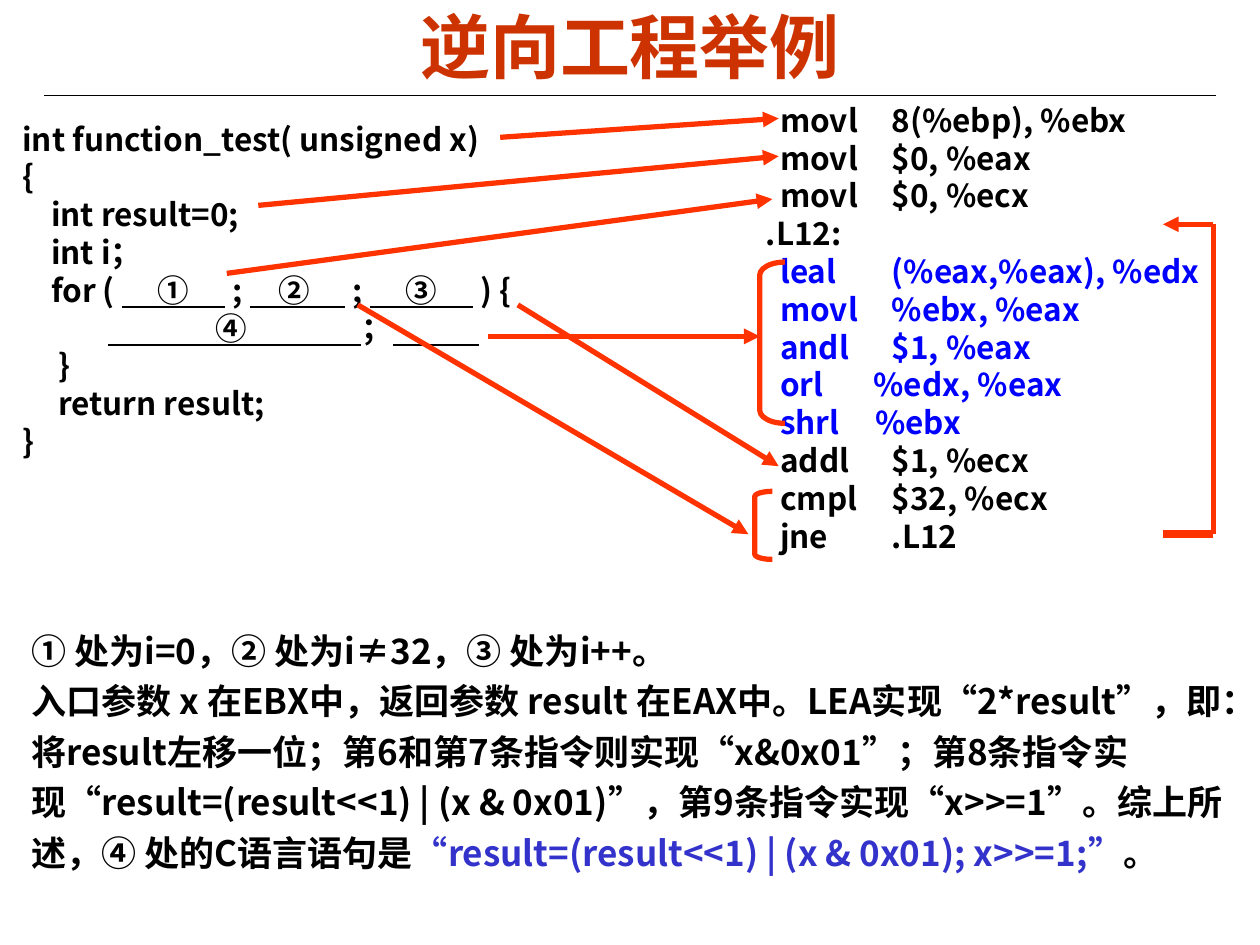
from dataclasses import dataclass

from lxml import etree
from pptx import Presentation
from pptx.dml.color import RGBColor
from pptx.enum.shapes import MSO_CONNECTOR, MSO_SHAPE
from pptx.enum.text import MSO_ANCHOR, PP_ALIGN
from pptx.oxml.ns import qn
from pptx.util import Emu, Inches, Pt

STRAIGHT = MSO_CONNECTOR.STRAIGHT
BRACKET = MSO_SHAPE.LEFT_BRACKET
TOP, MIDDLE = MSO_ANCHOR.TOP, MSO_ANCHOR.MIDDLE
LEFT, CENTER = PP_ALIGN.LEFT, PP_ALIGN.CENTER
CELL = Inches(0.1)  # the slide is a grid of 100 columns by 75 rows
FONT = "Noto Sans CJK SC"
BLACK, BLUE, INDIGO = "000000", "0000FF", "3333CC"
RUST, RED = "CC3300", "FF3300"


@dataclass
class Span:
    text: str
    color: str = ""
    under: bool = False


@dataclass
class Block:
    box: tuple[float, float, float, float]
    lines: list[list[Span]]
    size: int
    color: str = BLACK
    font: str = FONT
    anchor: MSO_ANCHOR = MIDDLE
    align: PP_ALIGN = LEFT
    space: float = 1.0
    tab: float = 0


@dataclass
class Line:
    start: tuple[float, float]
    end: tuple[float, float]
    arrow: bool = True
    width: float = 3
    color: str = RED


@dataclass
class Brace:
    box: tuple[float, float, float, float]
    curve: float


def cells(*counts: float) -> list[Emu]:
    return [Emu(round(n * CELL)) for n in counts]


def rgb(code: str) -> RGBColor:
    return RGBColor.from_string(code)


def add_tab(para, column: float) -> None:
    stops = etree.SubElement(para._p.get_or_add_pPr(), qn("a:tabLst"))
    etree.SubElement(stops, qn("a:tab"), pos=str(cells(column)[0]), algn="l")


def set_font(para, block: Block) -> None:
    font = para.font
    font.size, font.bold, font.name = Pt(block.size), True, block.font
    font.color.rgb = rgb(block.color)
    etree.SubElement(font._rPr, qn("a:ea"), typeface=FONT)


def draw_text(shapes, block: Block) -> None:
    frame = shapes.add_textbox(*cells(*block.box)).text_frame
    frame.word_wrap = True
    frame.vertical_anchor = block.anchor
    for i, line in enumerate(block.lines):
        para = frame.add_paragraph() if i else frame.paragraphs[0]
        para.alignment, para.line_spacing = block.align, block.space
        if block.tab:
            add_tab(para, block.tab)
        set_font(para, block)
        for span in line:
            run = para.add_run()
            run.text = span.text
            if span.color:
                run.font.color.rgb = rgb(span.color)
            if span.under:
                run.font.underline = True


def draw_line(shapes, item: Line) -> None:
    line = shapes.add_connector(STRAIGHT, *cells(*item.start, *item.end))
    line.line.color.rgb = rgb(item.color)
    line.line.width = Pt(item.width)
    if item.arrow:
        etree.SubElement(line.line._get_or_add_ln(), qn("a:tailEnd"), type="triangle")
    etree.SubElement(line._element.spPr, qn("a:effectLst"))


def draw_brace(shapes, item: Brace) -> None:
    brace = shapes.add_shape(BRACKET, *cells(*item.box))
    brace.adjustments[0] = item.curve
    brace.shadow.inherit = False
    brace.fill.background()
    brace.line.color.rgb = rgb(RED)
    brace.line.width = Pt(3)


def plain(*texts: str, color: str = "") -> list[list[Span]]:
    return [[Span(text, color)] for text in texts]


def blank(text: str) -> Span:
    return Span(text, under=True)


TITLE = Block((5, 0.6, 90, 6.1), plain("逆向工程举例"), 40, RUST, "Arial", align=CENTER)

ASM = Block(
    (59.8, 7.5, 38.4, 37),
    plain("  movl\t8(%ebp), %ebx", "  movl\t$0, %eax", "  movl\t$0, %ecx", ".L12:")
    + plain("  leal\t(%eax,%eax), %edx", "  movl\t%ebx, %eax", "  andl\t$1, %eax",
            "  orl       %edx, %eax", "  shrl     %ebx", color=BLUE)
    + plain("  addl\t$1, %ecx", "  cmpl\t$32, %ecx", "  jne\t.L12"),
    18, tab=10)

NOTES = Block(
    (1.5, 46.8, 96.8, 25),
    plain("① 处为i=0，② 处为i≠32，③ 处为i++。") + [[
        Span("入口参数 x 在EBX中，返回参数 result 在EAX中。LEA实现“2*result”，"
             "即：将result左移一位；第6和第7条指令则实现“x&0x01”；"
             "第8条指令实现“result=(result<<1) | (x & 0x01)”，"
             "第9条指令实现“x>>=1”。综上所述，④ 处的C语言语句是"),
        Span("“result=(result<<1) | (x & 0x01); x>>=1;”", INDIGO),
        Span("。")]],
    20, space=1.2)

CODE = Block(
    (0.8, 9, 48.7, 28),
    plain("int function_test( unsigned x)", "{", "    int result=0;", "    int i；")
    + [[Span("    for ( "), blank("     ①     "), Span(" ; "), blank("    ②     "),
        Span(" ; "), blank("     ③     "), Span(" ) {")],
       [Span("            "), blank("               ④                "),
        Span("；"), blank("            ")]]
    + plain("     }", "     return result;", "}"),
    18, anchor=TOP)

RULE = Line((3.5, 7.6), (96.5, 7.6), False, 0.75, BLACK)
LINKS = [
    Line((39.7, 10.9), (61.8, 9.4)),
    Line((20.5, 16.3), (61.8, 12.4)),
    Line((18, 21.7), (61.3, 15.8)),
    Line((28.4, 24.2), (59.4, 42.4)),
    Line((41.1, 24.2), (61.8, 37)),
    Line((38.7, 26.7), (60.3, 26.7)),
]
LOOP = [
    Line((96.3, 42.4), (92.3, 42.4), False, 4.5),
    Line((96.3, 17.8), (96.3, 42.4), False),
    Line((96.3, 17.8), (92.3, 17.8)),
]
BRACES = [Brace((59.9, 39, 1.4, 5.4), 0.3), Brace((60.3, 20.8, 2, 12.8), 0.52)]


def main() -> None:
    deck = Presentation()
    deck.slide_width, deck.slide_height = cells(100, 75)
    shapes = deck.slides.add_slide(deck.slide_layouts[6]).shapes
    draw_line(shapes, RULE)
    for block in (TITLE, ASM, NOTES, CODE):
        draw_text(shapes, block)
    for item in LINKS + LOOP:
        draw_line(shapes, item)
    for brace in BRACES:
        draw_brace(shapes, brace)
    deck.save("out.pptx")


if __name__ == "__main__":
    main()
